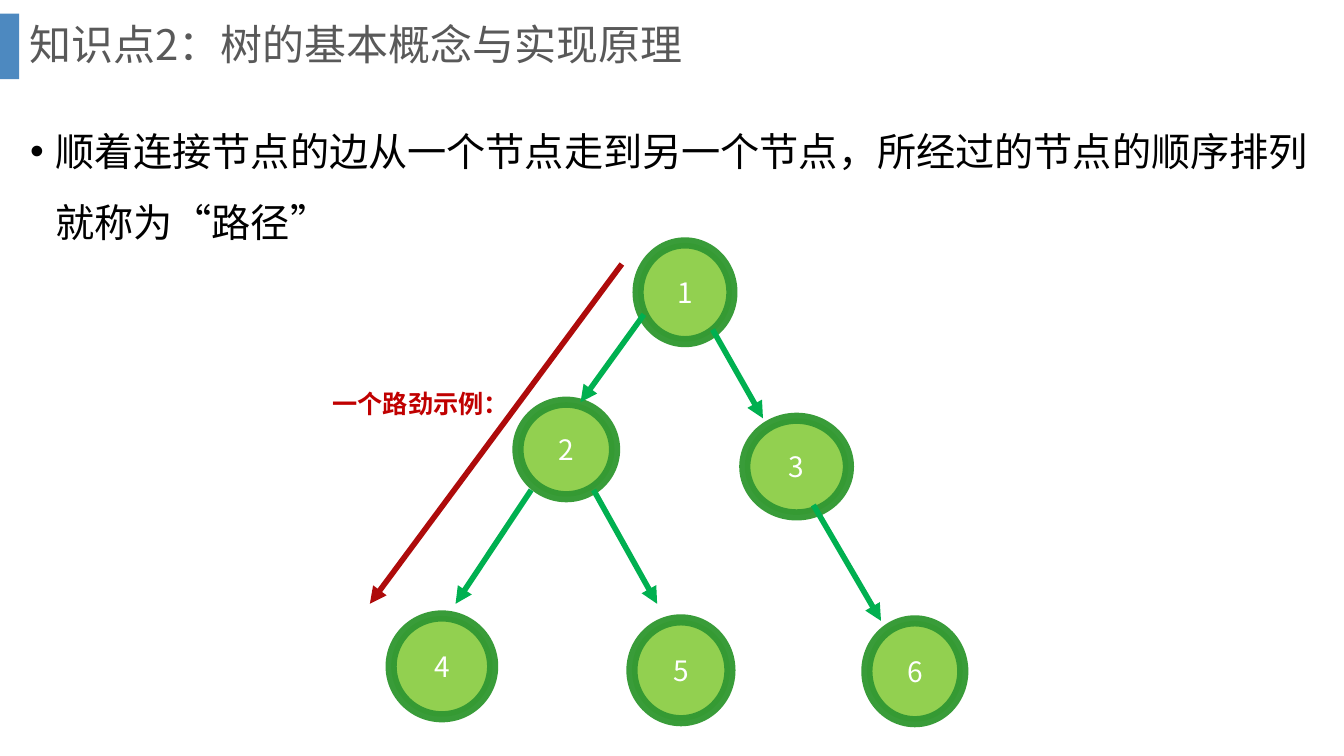
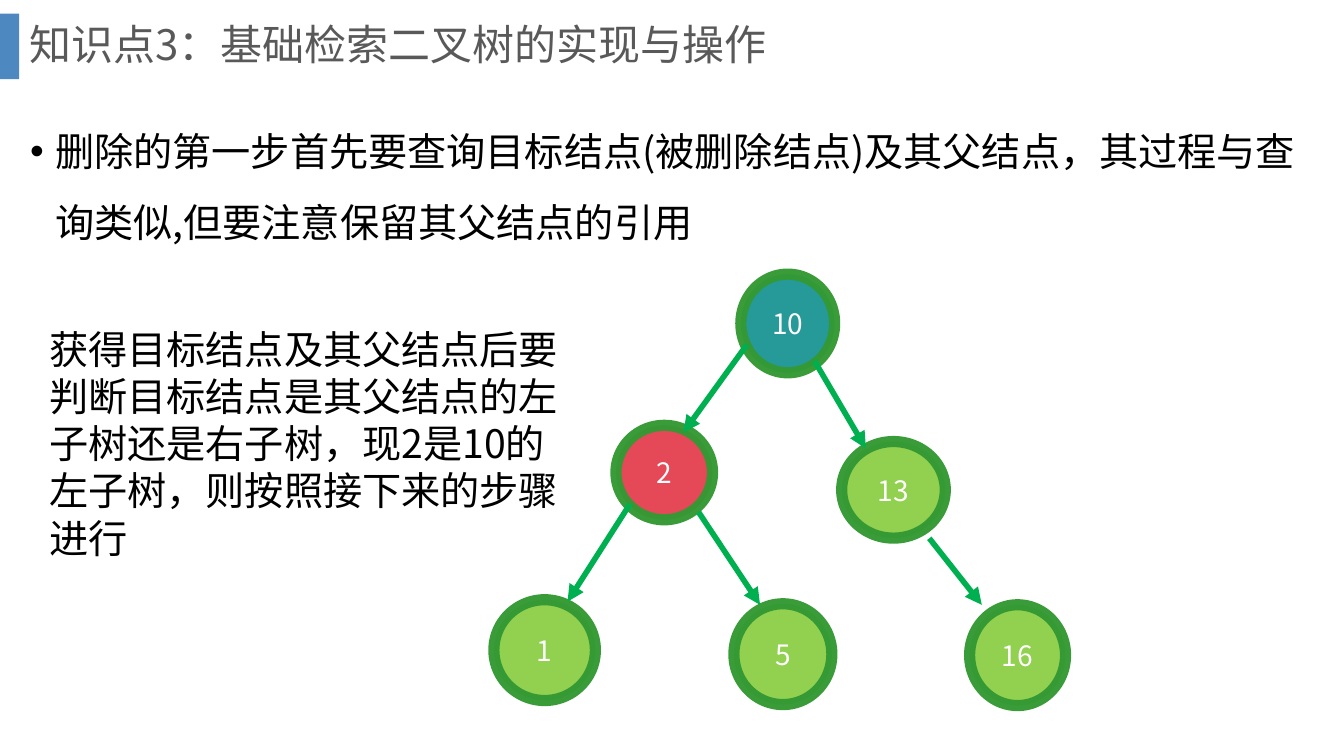
from dataclasses import dataclass

from lxml import etree
from pptx import Presentation
from pptx.dml.color import RGBColor
from pptx.enum import shapes, text
from pptx.oxml.ns import qn
from pptx.util import Pt


@dataclass(frozen=True)
class Theme:
    font: str = "Noto Sans CJK SC"
    band: str = "2E75B6"
    title: str = "595959"
    body: str = "000000"
    node: str = "92D050"
    parent: str = "269999"
    target: str = "E54958"
    ring: str = "339933"
    node_text: str = "FFFFFF"
    edge: str = "00B050"
    route: str = "AE0B0B"
    label: str = "C00000"
    title_size: int = 30
    body_size: int = 28
    node_size: int = 20
    label_size: int = 18
    ring_width: int = 8
    edge_width: int = 4


THEME = Theme()
NODE_SIZES = [(67, 70.5), (69, 67.5), (74, 69), (72.5, 72), (70, 72), (68.5, 72)]

SLIDES = [
    {
        "title": "知识点2：树的基本概念与实现原理",
        "bullet": "顺着连接节点的边从一个节点走到另一个节点，所经过的节点的顺序排列就称为“路径”",
        "nodes": [
            ("1", 455.8, 173.5, THEME.node),
            ("2", 370, 287.3, THEME.node),
            ("3", 532, 298.8, THEME.node),
            ("4", 279.4, 440, THEME.node),
            ("5", 451.4, 442.8, THEME.node),
            ("6", 619.2, 443.5, THEME.node),
        ],
        "arrows": [
            (460, 224.6, 414.7, 287.3, THEME.edge),
            (509, 235.4, 545, 298.8, THEME.edge),
            (379.4, 350, 325.4, 431.3, THEME.edge),
            (424, 350, 469.4, 431.3, THEME.edge),
            (581, 360.7, 629.3, 443.5, THEME.edge),
            (444.2, 188.6, 264.2, 431.3, THEME.route),
        ],
        "note": ("一个路劲示例：", (230.4, 273.6, 193.7, 28.8),
                 THEME.label_size, THEME.label, True),
    },
    {
        "title": "知识点3：基础检索二叉树的实现与操作",
        "bullet": "删除的第一步首先要查询目标结点(被删除结点)及其父结点，其过程与查询类似,但要注意保留其父结点的引用",
        "nodes": [
            ("10", 529.2, 195.8, THEME.parent),
            ("2", 440, 303.8, THEME.target),
            ("13", 601.2, 315.4, THEME.node),
            ("1", 352.8, 428.4, THEME.node),
            ("5", 524.2, 431.3, THEME.node),
            ("16", 692.6, 432, THEME.node),
        ],
        "arrows": [
            (533.5, 246.2, 488.2, 308.9, THEME.edge),
            (581.8, 257.8, 618.5, 320.4, THEME.edge),
            (450, 360, 405.4, 429.8, THEME.edge),
            (499, 365.8, 542.9, 432, THEME.edge),
            (663.8, 384.5, 701.3, 432, THEME.edge),
        ],
        "note": ("获得目标结点及其父结点后要判断目标结点是其父结点的左子树还是右子树，现2是10的左子树，则按照接下来的步骤进行",
                 (28.1, 229, 389.5, 177.1), THEME.body_size, THEME.body, False),
    },
]


def points(values):
    return [Pt(value) for value in values]


def set_alpha(fill, percent):
    color = fill._xPr.find(qn("a:solidFill"))[0]
    etree.SubElement(color, qn("a:alpha"), val=str(percent * 1000))


def paint(fill, color):
    fill.solid()
    fill.fore_color.rgb = RGBColor.from_string(color)


def add_run(paragraph, content, size, color, bold=False):
    run = paragraph.add_run()
    run.text = content
    run.font.name = THEME.font
    run.font.size = Pt(size)
    run.font.bold = bold
    run.font.color.rgb = RGBColor.from_string(color)
    etree.SubElement(run.font._element, qn("a:ea"), typeface=THEME.font)


def add_text(slide, box, content, size, color, bold=False,
             anchor=text.MSO_ANCHOR.TOP, spacing=1.0, bullet=False):
    frame = slide.shapes.add_textbox(*points(box)).text_frame
    frame.word_wrap = True
    frame.vertical_anchor = anchor
    paragraph = frame.paragraphs[0]
    paragraph.line_spacing = spacing
    if bullet:
        properties = paragraph._p.get_or_add_pPr()
        properties.set("marL", str(Pt(18)))
        properties.set("indent", str(-Pt(18)))
        etree.SubElement(properties, qn("a:buFont"), typeface="Arial")
        etree.SubElement(properties, qn("a:buChar"), char="•")
    add_run(paragraph, content, size, color, bold)


def add_band(slide):
    band = slide.shapes.add_shape(shapes.MSO_SHAPE.RECTANGLE, *points((0, 9.7, 13.7, 46.8)))
    band.shadow.inherit = False
    paint(band.fill, THEME.band)
    set_alpha(band.fill, 85)
    band.line.fill.background()


def add_node(slide, node, size):
    label, left, top, color = node
    shape = slide.shapes.add_shape(shapes.MSO_SHAPE.OVAL, *points((left, top, *size)))
    shape.shadow.inherit = False
    paint(shape.fill, color)
    shape.line.width = Pt(THEME.ring_width)
    paint(shape.line.fill, THEME.ring)
    set_alpha(shape.line.fill, 96)
    shape.text_frame.vertical_anchor = text.MSO_ANCHOR.MIDDLE
    paragraph = shape.text_frame.paragraphs[0]
    paragraph.alignment = text.PP_ALIGN.CENTER
    add_run(paragraph, label, THEME.node_size, THEME.node_text)


def add_arrow(slide, arrow):
    *ends, color = arrow
    connector = slide.shapes.add_connector(shapes.MSO_CONNECTOR.STRAIGHT, *points(ends))
    connector.line.width = Pt(THEME.edge_width)
    paint(connector.line.fill, color)
    etree.SubElement(connector.line._get_or_add_ln(), qn("a:tailEnd"), type="triangle")
    etree.SubElement(connector._element.spPr, qn("a:effectLst"))


def build_slide(presentation, content):
    slide = presentation.slides.add_slide(presentation.slide_layouts[6])
    add_band(slide)
    add_text(slide, (13.7, 0, 911.5, 67), content["title"], THEME.title_size,
             THEME.title, anchor=text.MSO_ANCHOR.MIDDLE, spacing=0.9)
    add_text(slide, (14.4, 70.6, 928.8, 429.1), content["bullet"], THEME.body_size,
             THEME.body, spacing=1.5, bullet=True)
    for node, size in zip(content["nodes"], NODE_SIZES):
        add_node(slide, node, size)
    for arrow in content["arrows"]:
        add_arrow(slide, arrow)
    note, box, size, color, bold = content["note"]
    add_text(slide, box, note, size, color, bold)


def main():
    presentation = Presentation()
    presentation.slide_width, presentation.slide_height = Pt(960), Pt(540)
    for content in SLIDES:
        build_slide(presentation, content)
    presentation.save("out.pptx")


if __name__ == "__main__":
    main()
